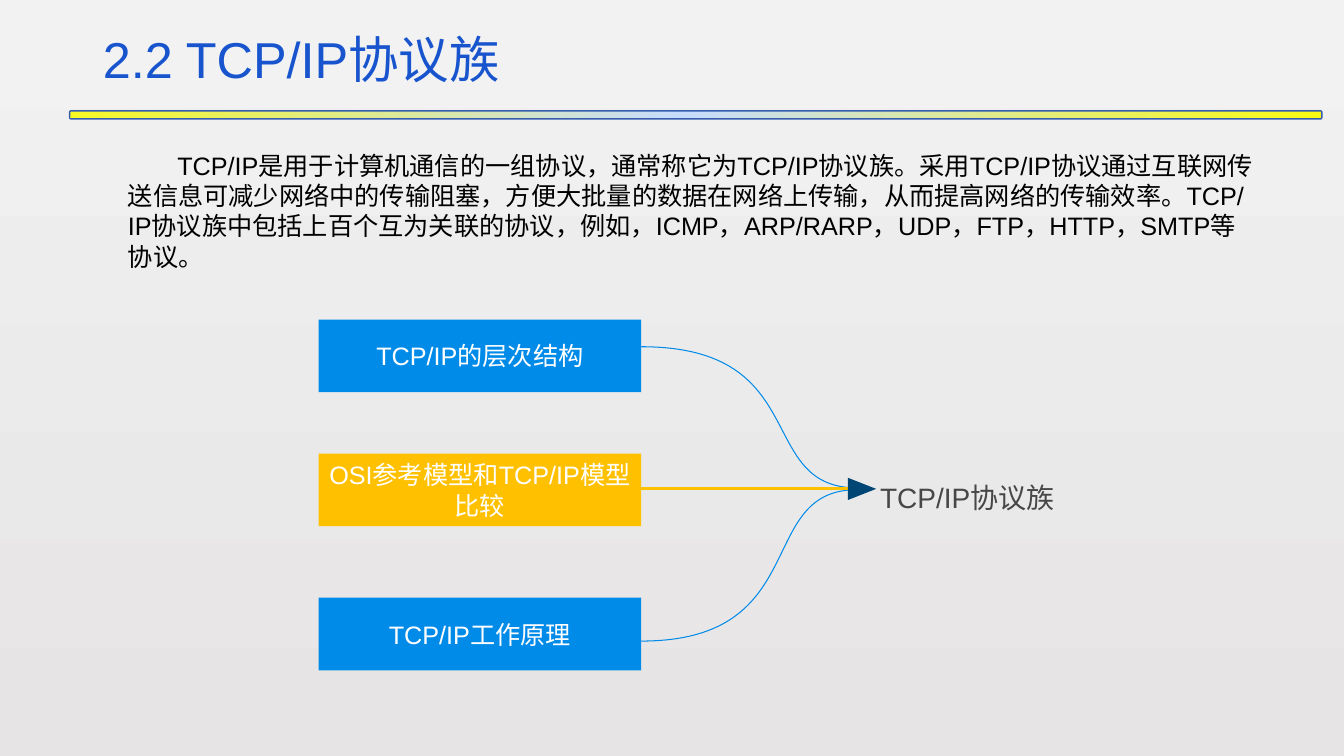
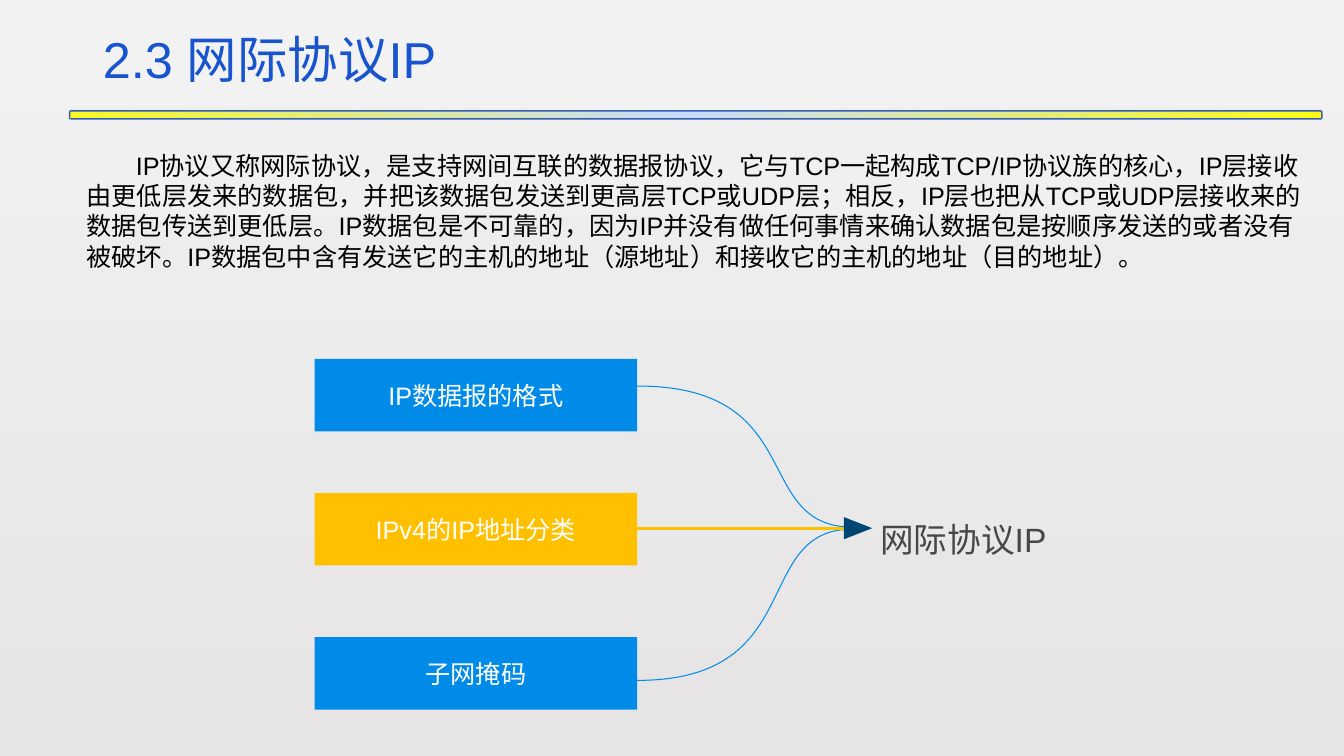
from lxml.etree import SubElement
from pptx import Presentation
from pptx.dml.color import RGBColor
from pptx.enum.shapes import MSO_CONNECTOR as Link, MSO_SHAPE as Kind
from pptx.enum.text import MSO_ANCHOR as Anchor, MSO_AUTO_SIZE as Fit, PP_ALIGN as Align
from pptx.oxml import parse_xml
from pptx.oxml.ns import nsdecls, qn
from pptx.util import Inches, Pt

FONT = "Arial"
BLUE, GOLD, NAVY = "018BE9", "FFC000", "004674"
WHITE, BLACK, GRAY = "FFFFFF", "000000", "474747"
TITLE, EDGE = "1754CD", "355CAD"
FADE = (("F2F2F2", 0), ("E6E4E4", 1))
GLOW = ((0, "FBFB11"), (51, "C6DCFF"), (100, "F7F923"))

TOPICS = [
    dict(
        title="2.2 TCP/IP协议族",
        intro="TCP/IP是用于计算机通信的一组协议，通常称它为TCP/IP协议族。采用TCP/IP协议通过互联网传送信息可减少网络中的传输阻塞，方便大批量的数据在网络上传输，从而提高网络的传输效率。TCP/IP协议族中包括上百个互为关联的协议，例如，ICMP，ARP/RARP，UDP，FTP，HTTP，SMTP等协议。",
        area=(1.17, 1.44, 11.39, 1.31),
        items=("TCP/IP的层次结构", "OSI参考模型和TCP/IP模型比较", "TCP/IP工作原理"),
        goal="TCP/IP协议族", size=20, left=3.16, top=3.17,
    ),
    dict(
        title="2.3 网际协议IP",
        intro="IP协议又称网际协议，是支持网间互联的数据报协议，它与TCP一起构成TCP/IP协议族的核心，IP层接收由更低层发来的数据包，并把该数据包发送到更高层TCP或UDP层；相反，IP层也把从TCP或UDP层接收来的数据包传送到更低层。IP数据包是不可靠的，因为IP并没有做任何事情来确认数据包是按顺序发送的或者没有被破坏。IP数据包中含有发送它的主机的地址（源地址）和接收它的主机的地址（目的地址）。",
        area=(0.76, 1.44, 12.29, 1.31),
        items=("IP数据报的格式", "IPv4的IP地址分类", "子网掩码"),
        goal="网际协议IP", size=24, left=3.12, top=3.56,
    ),
]


def color(code):
    return RGBColor.from_string(code)


def place(box):
    return [Inches(n) for n in box]


def write(frame, text, size, code, align=Align.LEFT, anchor=Anchor.TOP, space=1):
    frame.word_wrap = True
    frame.auto_size = Fit.NONE
    frame.vertical_anchor = anchor
    frame.text = text
    para = frame.paragraphs[0]
    para.alignment = align
    para.line_spacing = space
    para.font.name = FONT
    para.font.size = Pt(size)
    para.font.color.rgb = color(code)
    return para


def paint(shape, code=None, edge=None, width=0):
    shape.shadow.inherit = False
    if code:
        shape.fill.solid()
        shape.fill.fore_color.rgb = color(code)
    if edge:
        shape.line.color.rgb = color(edge)
        shape.line.width = Pt(width)
    else:
        shape.line.fill.background()


def add_back(deck):
    fill = deck.slide_master.background.fill
    fill.gradient()
    fill.gradient_angle = 270
    for stop, (code, spot) in zip(fill.gradient_stops, FADE):
        stop.color.rgb = color(code)
        stop.position = spot


def add_bar(slide, box):
    bar = slide.shapes.add_shape(Kind.ROUNDED_RECTANGLE, *place(box))
    paint(bar, edge=EDGE, width=1)
    stops = "".join(
        f'<a:gs pos="{spot * 1000}"><a:srgbClr val="{code}"/></a:gs>' for spot, code in GLOW
    )
    bar.element.spPr.insert(2, parse_xml(
        f'<a:gradFill {nsdecls("a")} rotWithShape="1"><a:gsLst>{stops}</a:gsLst>'
        '<a:path path="circle"><a:fillToRect l="100000" t="100000"/></a:path></a:gradFill>'
    ))


def add_head(slide, text, box):
    head = slide.shapes.title
    head.left, head.top, head.width, head.height = place(box)
    write(head.text_frame, text, 36, TITLE, anchor=Anchor.BOTTOM, space=0.9)


def add_intro(slide, text, box):
    area = slide.shapes.add_textbox(*place(box))
    para = write(area.text_frame, text, 18, BLACK)
    para._p.get_or_add_pPr().set("indent", str(Inches(0.49)))


def add_path(slide, spots, close=False):
    first, *rest = [place(spot) for spot in spots]
    pen = slide.shapes.build_freeform(*first)
    pen.add_line_segments(rest, close=close)
    return pen.convert_to_shape()


def add_curve(slide, spots):
    curve = add_path(slide, spots)
    trace = next(curve.element.iter(qn("a:path")))
    steps = list(trace)[1:]
    bend = SubElement(trace, qn("a:cubicBezTo"))
    for step in steps:
        bend.append(step[0])
        trace.remove(step)
    curve.fill.background()
    paint(curve, edge=BLUE)


def add_line(slide, start, end, code):
    line = slide.shapes.add_connector(Link.STRAIGHT, *place(start + end))
    line.line.color.rgb = color(code)
    line.line.width = Pt(0)
    SubElement(line.element.spPr, qn("a:effectLst"))


def add_box(slide, text, code, box):
    shape = slide.shapes.add_shape(Kind.RECTANGLE, *place(box))
    paint(shape, code)
    frame = shape.text_frame
    frame.margin_left = frame.margin_right = frame.margin_top = frame.margin_bottom = 0
    write(frame, text, 18, WHITE, Align.CENTER, Anchor.MIDDLE)


def add_flow(slide, items, goal, size, left, top):
    wide, high = 3.2, 0.72
    edge, mid = left + wide, top + 1.68
    for start, pull, end in ((0.27, 1.71, 1.67), (3.19, 1.64, 1.69)):
        add_curve(slide, (
            (edge, top + start), (left + 4.94, top + start),
            (left + 4.3, top + pull), (left + 5.39, top + end),
        ))
    for text, code, drop in zip(items, (BLUE, GOLD, BLUE), (0, 1.33, 2.76)):
        add_box(slide, text, code, (left, top + drop, wide, high))
    add_line(slide, (edge, mid), (left + 5.27, mid), GOLD)
    base = left + 5.25
    tip = add_path(slide, ((base, mid - 0.11), (base + 0.28, mid), (base, mid + 0.11)), True)
    paint(tip, NAVY)
    label = slide.shapes.add_textbox(*place((left + 5.42, top + 0.85, 2.03, 1.67)))
    write(label.text_frame, goal, size, GRAY, Align.CENTER, Anchor.MIDDLE, 1.5)


def add_topic(deck, title, intro, area, **flow):
    slide = deck.slides.add_slide(deck.slide_layouts[5])
    add_bar(slide, (0.69, 1.1, 12.42, 0.08))
    add_head(slide, title, (0.92, 0.07, 11.5, 0.87))
    add_intro(slide, intro, area)
    add_flow(slide, **flow)


def main():
    deck = Presentation()
    deck.slide_width, deck.slide_height = Inches(13.33), Inches(7.5)
    add_back(deck)
    for topic in TOPICS:
        add_topic(deck, **topic)
    deck.save("out.pptx")


if __name__ == "__main__":
    main()
